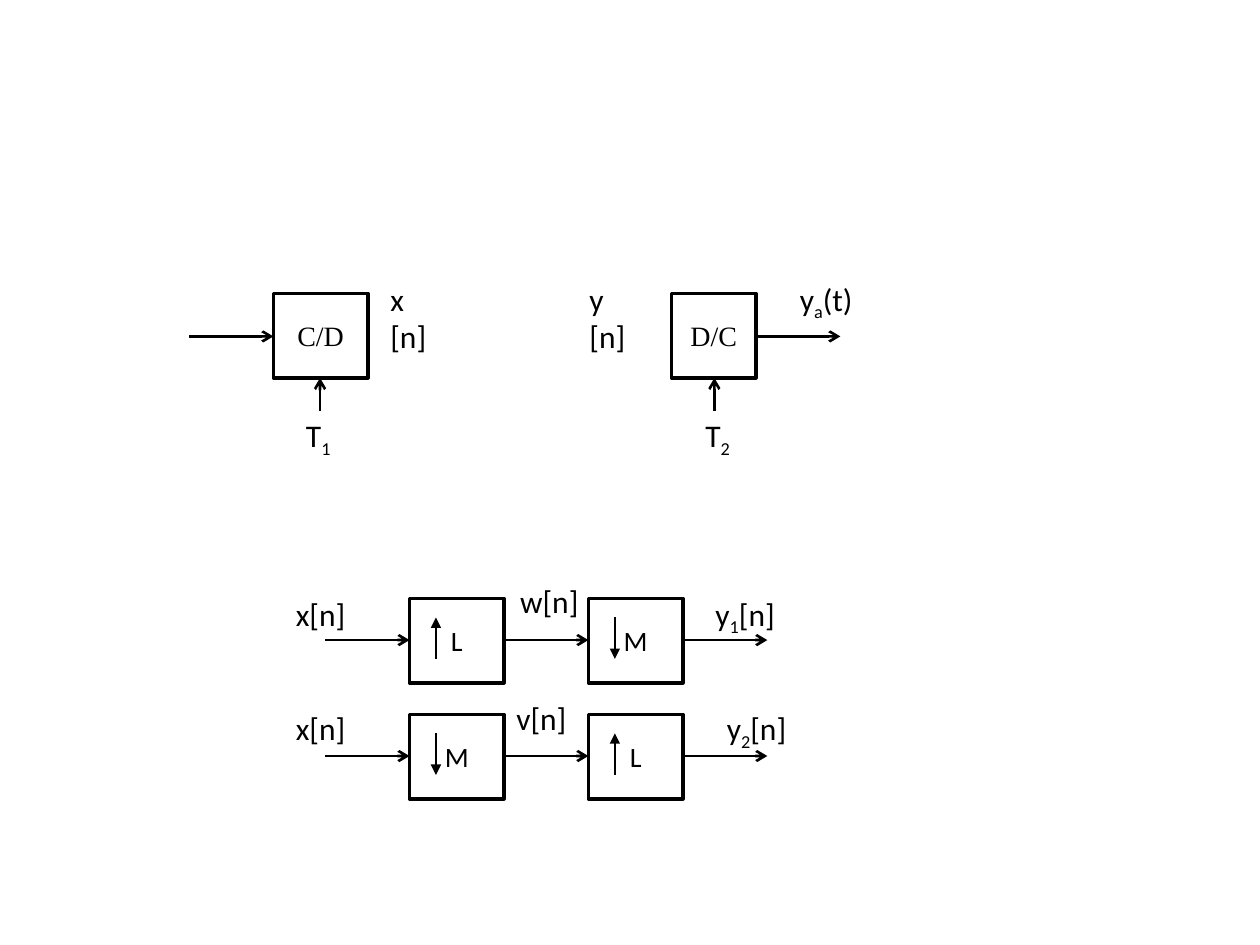
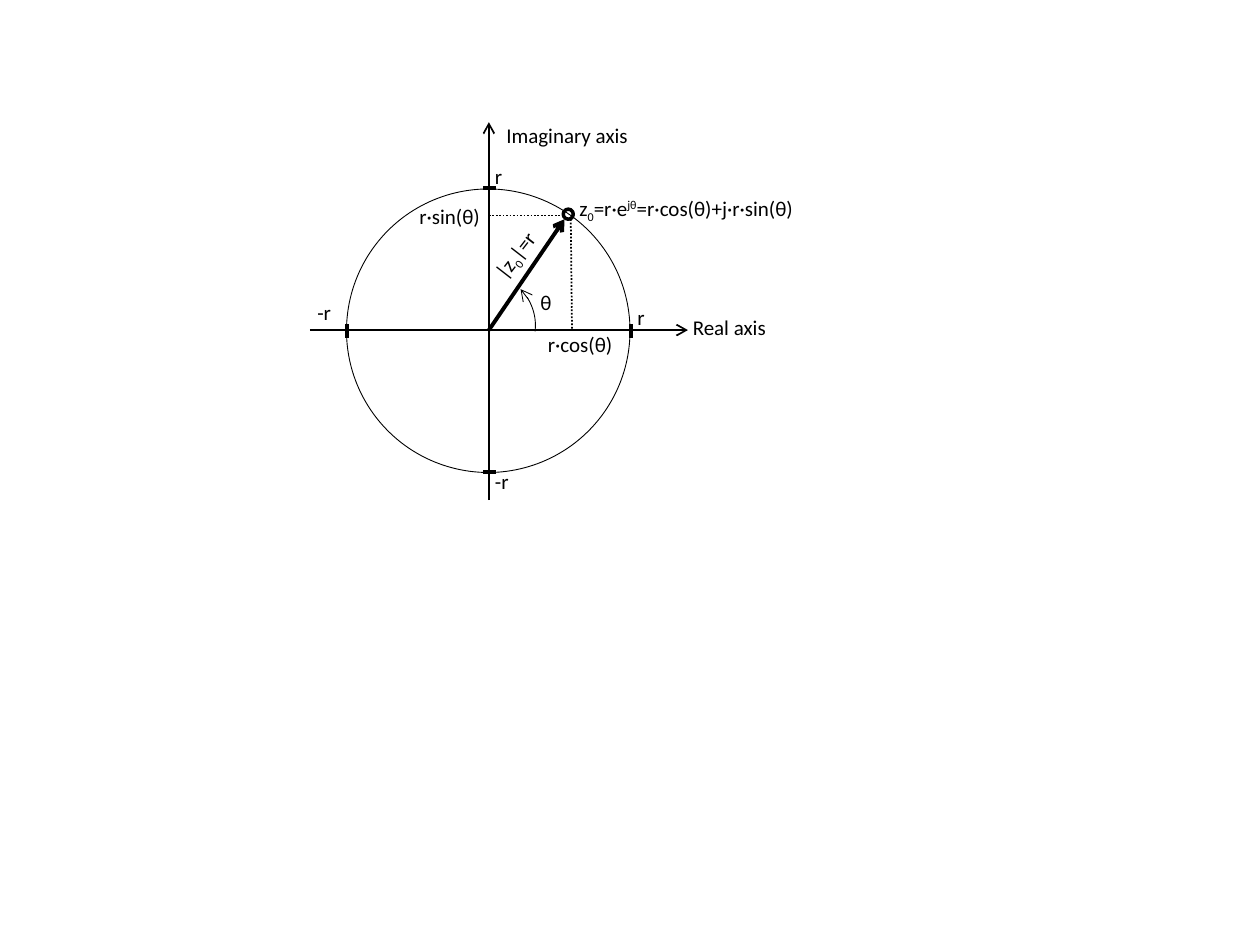
from lxml import etree
from pptx import Presentation
from pptx.dml.color import RGBColor
from pptx.enum.dml import MSO_LINE
from pptx.enum.shapes import MSO_CONNECTOR, MSO_SHAPE
from pptx.enum.text import MSO_ANCHOR, MSO_AUTO_SIZE, PP_ALIGN
from pptx.oxml.ns import qn
from pptx.util import Inches, Pt

RECT, OVAL, ARC = MSO_SHAPE.RECTANGLE, MSO_SHAPE.OVAL, MSO_SHAPE.ARC
STRAIGHT, DOTS = MSO_CONNECTOR.STRAIGHT, MSO_LINE.ROUND_DOT
MIDDLE, CENTER, GROW = MSO_ANCHOR.MIDDLE, PP_ALIGN.CENTER, MSO_AUTO_SIZE.SHAPE_TO_FIT_TEXT
COLORS = {"ink": "000000"}
INK = RGBColor.from_string(COLORS["ink"])
SANS, SERIF = "Calibri", "Times New Roman"
SHIFTS = {"_": "-25000", "^": "30000"}  # first letter of a run: sub- or superscript


def put(slide, at, runs=(), size=18, kind=None, width=2, font=SANS):
    """Add an outlined shape of the given kind, or a text box if there is none."""
    box = [Inches(n) for n in at]
    if kind is None:
        shape = slide.shapes.add_textbox(*box)
        shape.text_frame.word_wrap = False
        shape.text_frame.auto_size = GROW
    else:
        shape = slide.shapes.add_shape(kind, *box)
        shape.shadow.inherit = False
        shape.fill.background()
        shape.line.color.rgb = INK
        shape.line.width = Pt(width)
        shape.text_frame.vertical_anchor = MIDDLE
    para = shape.text_frame.paragraphs[0]
    if kind is not None:
        para.alignment = CENTER
    for text in runs:
        run = para.add_run()
        run.text = text.lstrip("_^")
        run.font.size = Pt(size)
        run.font.name = font
        run.font.color.rgb = INK
        if text[0] in SHIFTS:
            run._r.get_or_add_rPr().set("baseline", SHIFTS[text[0]])
    return shape


def join(slide, x1, y1, x2, y2, width=1.5, tip=None, dash=None):
    """Add a line, with an arrowhead of type tip at its end."""
    line = slide.shapes.add_connector(STRAIGHT, *[Inches(n) for n in (x1, y1, x2, y2)])
    line.line.color.rgb = INK
    line.line.width = Pt(width)
    if dash:
        line.line.dash_style = dash
    if tip:
        etree.SubElement(line.line._get_or_add_ln(), qn("a:tailEnd"), type=tip)
    etree.SubElement(line._element.spPr, qn("a:effectLst"))


deck = Presentation()
deck.slide_width, deck.slide_height = Inches(10), Inches(7.5)
blank = deck.slide_layouts[6]

# Slide 1: block diagrams
slide = deck.slides.add_slide(blank)

# Converters, each with its clock from below
for name, left, wide, mid, clock, sub in (
    ("C/D", 2.17, 0.75, 2.54, 2.33, "_1"),
    ("D/C", 5.33, 0.67, 5.67, 5.5, "_2"),
):
    put(slide, (left, 2.33, wide, 0.67), [name], 16, RECT, font=SERIF)
    join(slide, mid, 3.26, mid, 3, tip="arrow")
    put(slide, (clock, 3.25, 0.41, 0.4), ["T", sub])
for left in (1.5, 6):
    join(slide, left, 2.67, left + 0.67, 2.67, tip="arrow")
for left, wide, runs in (
    (3, 0.64, ["x [n]"]),
    (4.58, 0.64, ["y [n]"]),
    (6.25, 0.63, ["y", "_a", "(t)"]),
):
    put(slide, (left, 2.17, wide, 0.4), runs)

# Two chains: up then down, and down then up
for top, order in ((4.75, "LM"), (5.67, "ML")):
    mid = top + 0.33
    for left, name in zip((3.25, 4.67), order):
        put(slide, (left, top, 0.75, 0.67), [name], 16, RECT)
        ends = (top + 0.48, top + 0.15)
        start, stop = ends if name == "L" else ends[::-1]
        join(slide, left + 0.21, start, left + 0.21, stop, tip="triangle")
    for left in (2.58, 4, 5.42):
        join(slide, left, mid, left + 0.67, mid, tip="arrow")

# Signal names
for left, top, wide, runs in (
    (2.25, 4.67, 0.6, ["x[n]"]),
    (4.03, 4.57, 0.67, ["w[n]"]),
    (5.58, 4.67, 0.69, ["y", "_1", "[n]"]),
    (2.25, 5.58, 0.6, ["x[n]"]),
    (4, 5.5, 0.6, ["v[n]"]),
    (5.67, 5.58, 0.69, ["y", "_2", "[n]"]),
):
    put(slide, (left, top, wide, 0.4), runs)

# Slide 2: polar form in the complex plane
slide = deck.slides.add_slide(blank)
cx, cy, rad = 3.88, 2.62, 1.125

# Circle and axes
put(slide, (2.75, 1.5, 2 * rad, 2 * rad), kind=OVAL, width=0.5)
join(slide, 2.46, cy, 5.46, cy, 1, "arrow")
join(slide, cx, 3.97, cx, 0.97, 1, "arrow")

# Ticks where the circle meets the axes
for sign in (-1, 1):
    x, y = cx + sign * rad, cy + sign * rad
    join(slide, x, cy + 0.06, x, cy - 0.05, 2.25)
    join(slide, cx + 0.06, y, cx - 0.05, y, 2.25)

# Vector, point, angle and projections
join(slide, cx, cy, 4.48, 1.74, 2.25, "arrow")
put(slide, (4.47, 1.66, 0.08, 0.08), kind=OVAL)
arc = put(slide, (3.42, 2.17, 0.83, 0.83), kind=ARC, width=0.5)
arc.adjustments[0], arc.adjustments[1] = 189.41, 3.73
etree.SubElement(arc.line._get_or_add_ln(), qn("a:headEnd"), type="arrow")
join(slide, 4.53, 1.74, 4.54, cy, 1, dash=DOTS)
join(slide, cx, 1.71, 4.47, 1.71, 1, dash=DOTS)

# Labels
for left, top, wide, text in (
    (5.4, 2.45, 0.79, "Real axis"),
    (3.92, 0.92, 1.18, "Imaginary axis"),
    (4.19, 2.25, 0.29, "θ"),
    (3.23, 1.57, 0.69, "r·sin(θ)"),
    (4.25, 2.58, 0.72, "r·cos(θ)"),
    (2.42, 2.33, 0.31, "-r"),
    (3.83, 3.67, 0.31, "-r"),
    (4.96, 2.37, 0.26, "r"),
    (3.83, 1.25, 0.26, "r"),
):
    put(slide, (left, top, wide, 0.3), [text], 12)
polar = ["z", "_0", "=r·e", "^jθ", "=r·cos(θ)+j·r·sin(θ)"]
put(slide, (4.5, 1.5, 2.08, 0.3), polar, 12).text_frame.word_wrap = True
put(slide, (3.78, 1.87, 0.62, 0.3), ["|z", "_0", "|=r"], 12).rotation = 307.8

deck.save("out.pptx")
